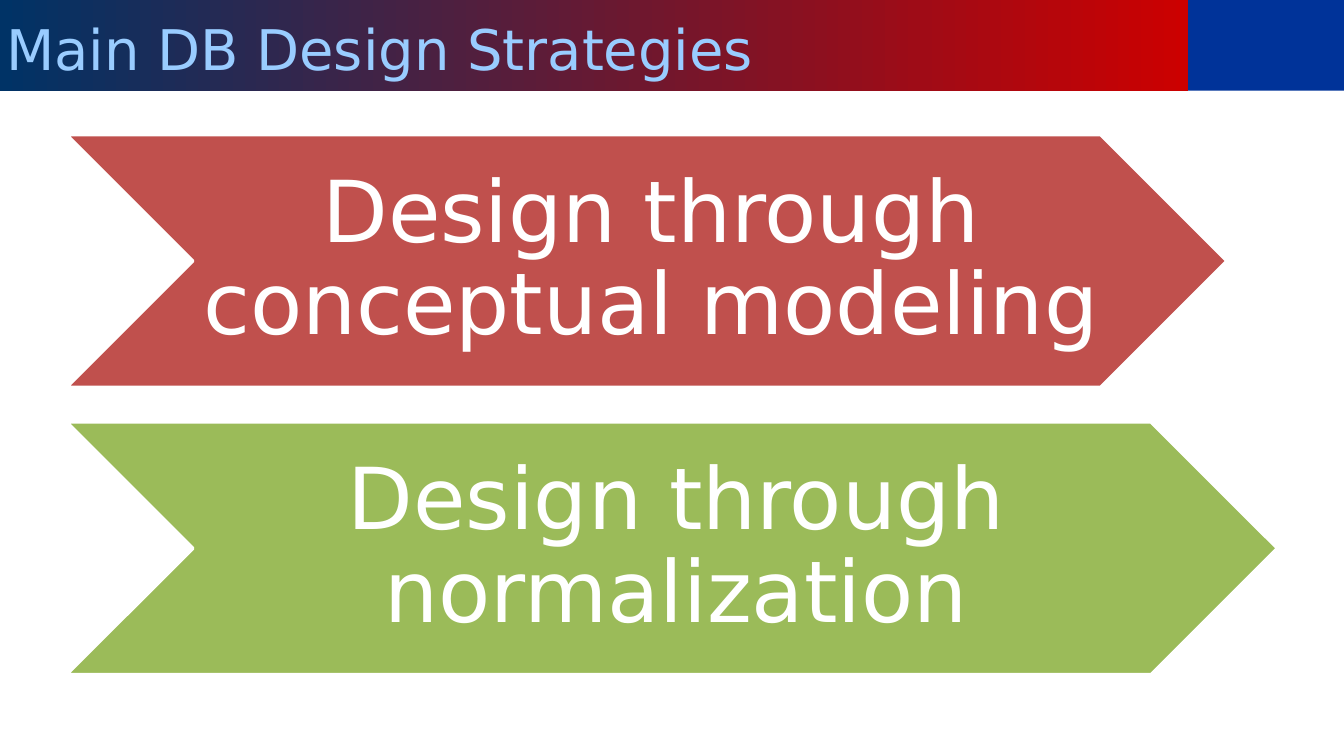
from pptx import Presentation
from pptx.dml.color import RGBColor
from pptx.enum.shapes import MSO_SHAPE
from pptx.enum.text import MSO_ANCHOR, PP_ALIGN
from pptx.util import Inches, Pt

theme = {
    "font": "DejaVu Sans",
    "title": "99CCFF",
    "fade": ("003366", "CC0000"),
    "corner": "003399",
    "light": "FFFFFF",
    "title size": 40,
    "arrow size": 61,
}
wide, high = 13.33, 7.5
bar, split = high * 0.12, 11.78
left, top, tall, pitch = wide * 0.05, 1.34, high / 3, 2.85
arrows = [
    ("Design through conceptual modeling", 11.5, "C0504D"),
    ("Design through normalization", 12, "9BBB59"),
]

deck = Presentation()
deck.slide_width, deck.slide_height = Inches(wide), Inches(high)
slide = deck.slides.add_slide(deck.slide_layouts[6])


def draw(kind, x, y, w, h, fill):
    shape = slide.shapes.add_shape(kind, Inches(x), Inches(y), Inches(w), Inches(h))
    shape.shadow.inherit = False
    shape.fill.solid()
    shape.fill.fore_color.rgb = RGBColor.from_string(fill)
    shape.line.fill.background()
    return shape


def write(shape, text, size, color, align, insets):
    frame = shape.text_frame
    frame.word_wrap = True
    frame.vertical_anchor = MSO_ANCHOR.MIDDLE
    frame.margin_left, frame.margin_top, frame.margin_right, frame.margin_bottom = map(Inches, insets)
    para = frame.paragraphs[0]
    para.alignment = align
    run = para.add_run()
    run.text = text
    run.font.name = theme["font"]
    run.font.size = Pt(size)
    run.font.color.rgb = RGBColor.from_string(color)
    return para


draw(MSO_SHAPE.RECTANGLE, split, 0, wide - split, bar, theme["corner"])

title = draw(MSO_SHAPE.RECTANGLE, 0, 0, split, bar, theme["fade"][0])
title.fill.gradient()
title.fill.gradient_angle = 0
for stop, color, place in zip(title.fill.gradient_stops, theme["fade"], (0, 1)):
    stop.color.rgb = RGBColor.from_string(color)
    stop.position = place
write(title, "Main DB Design Strategies", theme["title size"], theme["title"],
      PP_ALIGN.LEFT, (0.06, 0.05, 0, 0))

for row, (text, width, color) in enumerate(arrows):
    arrow = draw(MSO_SHAPE.CHEVRON, left, top + row * pitch, width, tall, color)
    arrow.line.color.rgb = RGBColor.from_string(theme["light"])
    arrow.line.width = Pt(2)
    para = write(arrow, text, theme["arrow size"], theme["light"],
                 PP_ALIGN.CENTER, (0.08, 0.04, 0, 0.04))
    para.line_spacing = 0.9

deck.save("out.pptx")
